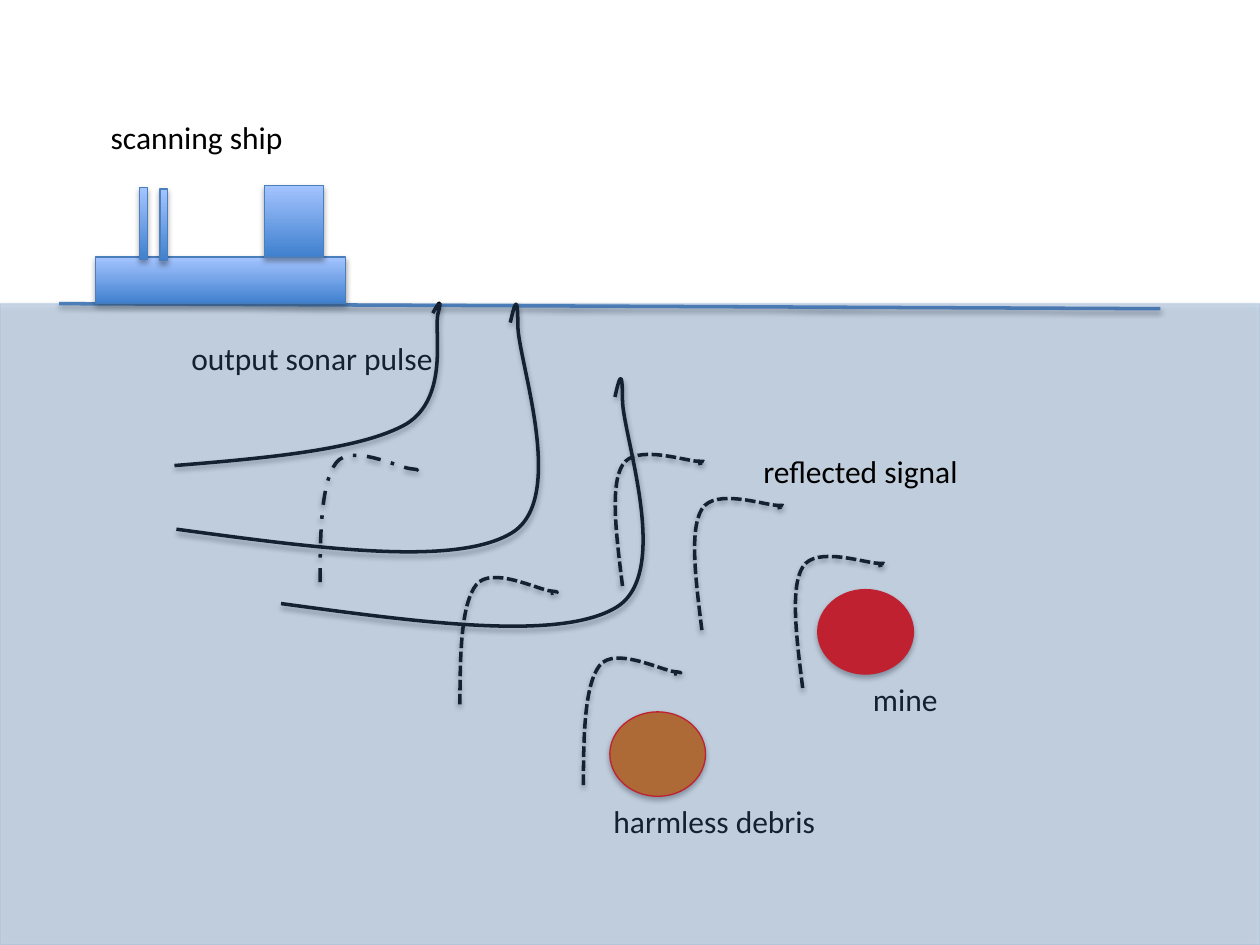
from math import cos, radians, sin
from pptx import Presentation
from pptx.dml.color import RGBColor
from pptx.enum.dml import MSO_LINE
from pptx.enum.shapes import MSO_CONNECTOR, MSO_SHAPE
from pptx.enum.text import MSO_AUTO_SIZE
from pptx.oxml.ns import qn
from pptx.util import Inches, Pt
from lxml import etree

COLORS = {
    "ink": "000000", "water": "4F81BD", "edge": "4B7EBC", "hull_low": "3F80CE",
    "hull_high": "A4C4FF", "mine": "FF0000", "debris": "E46C0A",
}
RGB = {name: RGBColor.from_string(value) for name, value in COLORS.items()}

PULSE = {
    "size": (1.58, 3.22), "rotation": 241.3, "center": (1.67, -0.32),
    "points": [(0, 0), (1.11, 0.15), (2.21, 0.3), (2.66, 0.03), (3.11, -0.24),
               (2.71, -1.34), (2.71, -1.62), (2.71, -1.9), (2.68, -1.77), (2.65, -1.64)],
}
SHORT_PULSE = {
    "size": (0.71, 2.47), "rotation": 241.3, "center": (1.2, -0.38),
    "points": [(0, 0), (0.75, -0.06), (1.49, -0.13), (1.84, -0.33), (2.18, -0.54),
               (2.06, -1.06), (2.09, -1.2), (2.13, -1.35), (2.09, -1.28), (2.05, -1.21)],
}
DEBRIS_ECHO = {
    "size": (0.56, 1.18), "rotation": 216.2, "center": (0.2, -0.58),
    "points": [(0, 0), (0, -0.4), (0.01, -0.8), (0.13, -0.95), (0.25, -1.1),
               (0.62, -0.91), (0.72, -0.9), (0.81, -0.89), (0.77, -0.89), (0.72, -0.88)],
}
MINE_ECHO = {
    "size": (0.56, 1.18), "rotation": 208.9, "center": (0.12, -0.6),
    "points": [(0, 0), (-0.05, -0.4), (-0.1, -0.8), (0, -0.96), (0.1, -1.13),
               (0.5, -0.99), (0.6, -0.99), (0.69, -0.99), (0.65, -0.98), (0.6, -0.97)],
}


def add_curve(shapes, left, top, form, dash):
    width, height = form["size"]
    center_x, center_y = form["center"]
    angle = radians(form["rotation"])
    builder = shapes.build_freeform(Inches(left), Inches(top))
    builder.add_line_segments([(Inches(left + width), Inches(top + height))], close=False)
    curve = builder.convert_to_shape()
    outline = next(curve.element.iter(qn("a:path")))
    for command in list(outline):
        outline.remove(command)
    for index, (x, y) in enumerate(form["points"]):
        if index == 0:
            command = etree.SubElement(outline, qn("a:moveTo"))
        elif index % 3 == 1:
            command = etree.SubElement(outline, qn("a:cubicBezTo"))
        x, y = x - center_x, y - center_y
        local_x = width / 2 + x * cos(angle) + y * sin(angle)
        local_y = height / 2 - x * sin(angle) + y * cos(angle)
        etree.SubElement(command, qn("a:pt"), x=str(Inches(local_x)), y=str(Inches(local_y)))
    curve.rotation = form["rotation"]
    curve.fill.background()
    curve.line.color.rgb = RGB["ink"]
    curve.line.width = Pt(2)
    if dash:
        curve.line.dash_style = dash


def add_label(shapes, left, top, text):
    label = shapes.add_textbox(Inches(left), Inches(top), Inches(2.15), Inches(0.4))
    label.text_frame.word_wrap = True
    label.text_frame.auto_size = MSO_AUTO_SIZE.SHAPE_TO_FIT_TEXT
    run = label.text_frame.paragraphs[0].add_run()
    run.text = text
    for name, value in {"name": "Calibri", "size": Pt(18)}.items():
        setattr(run.font, name, value)
    run.font.color.rgb = RGB["ink"]


presentation = Presentation()
presentation.slide_width = Inches(10)
presentation.slide_height = Inches(7.5)
slide = presentation.slides.add_slide(presentation.slide_layouts[6])
shapes = slide.shapes

surface = shapes.add_connector(
    MSO_CONNECTOR.STRAIGHT, Inches(0.47), Inches(2.41), Inches(9.21), Inches(2.45))
surface.line.color.rgb = RGB["water"]
surface.line.width = Pt(2)

ship_parts = [
    (0.76, 2.04, 1.98, 0.37),
    (2.1, 1.47, 0.47, 0.57),
    (1.11, 1.49, 0.06, 0.57),
    (1.27, 1.5, 0.06, 0.57),
]
for box in ship_parts:
    part = shapes.add_shape(MSO_SHAPE.RECTANGLE, *map(Inches, box))
    part.fill.gradient()
    part.fill.gradient_angle = 90
    for stop, color, position in zip(
            part.fill.gradient_stops, ("hull_low", "hull_high"), (0, 1)):
        stop.color.rgb = RGB[color]
        stop.position = position
    part.line.color.rgb = RGB["edge"]
    part.line.width = Pt(0.75)

for left, top, form in [
        (2.28, 2.27, PULSE), (3.11, 2.86, PULSE), (2.23, 2.08, SHORT_PULSE)]:
    add_curve(shapes, left, top, form, None)

for left, top, color in [(6.49, 4.68, "mine"), (4.84, 5.65, "debris")]:
    target = shapes.add_shape(
        MSO_SHAPE.OVAL, Inches(left), Inches(top), Inches(0.76), Inches(0.67))
    target.fill.solid()
    target.fill.fore_color.rgb = RGB[color]
    target.line.color.rgb = RGB["mine"]
    target.line.width = Pt(0.75)

echoes = [
    (4.55, 5.06, DEBRIS_ECHO, MSO_LINE.SQUARE_DOT),
    (3.57, 4.42, DEBRIS_ECHO, MSO_LINE.SQUARE_DOT),
    (2.46, 3.45, DEBRIS_ECHO, MSO_LINE.DASH_DOT),
    (6.21, 4.27, MINE_ECHO, MSO_LINE.SQUARE_DOT),
    (5.41, 3.81, MINE_ECHO, MSO_LINE.SQUARE_DOT),
    (4.78, 3.46, MINE_ECHO, MSO_LINE.SQUARE_DOT),
]
for left, top, form, dash in echoes:
    add_curve(shapes, left, top, form, dash)

for left, top, text in [
        (1.42, 2.64, "output sonar pulse"), (0.78, 0.89, "scanning ship"),
        (6.83, 5.35, "mine"), (4.77, 6.32, "harmless debris")]:
    add_label(shapes, left, top, text)

water = shapes.add_shape(
    MSO_SHAPE.RECTANGLE, Inches(0), Inches(2.41), Inches(10), Inches(5.09))
water.fill.solid()
water.fill.fore_color.rgb = RGB["water"]
water.line.color.rgb = RGB["edge"]
water.line.width = Pt(0.75)
fill_color, line_color = water.element.iter(qn("a:srgbClr"))
for color, opacity in [(fill_color, 26), (line_color, 17)]:
    etree.SubElement(color, qn("a:alpha"), val=str(opacity * 1000))

add_label(shapes, 5.96, 3.54, "reflected signal")

presentation.save("out.pptx")
